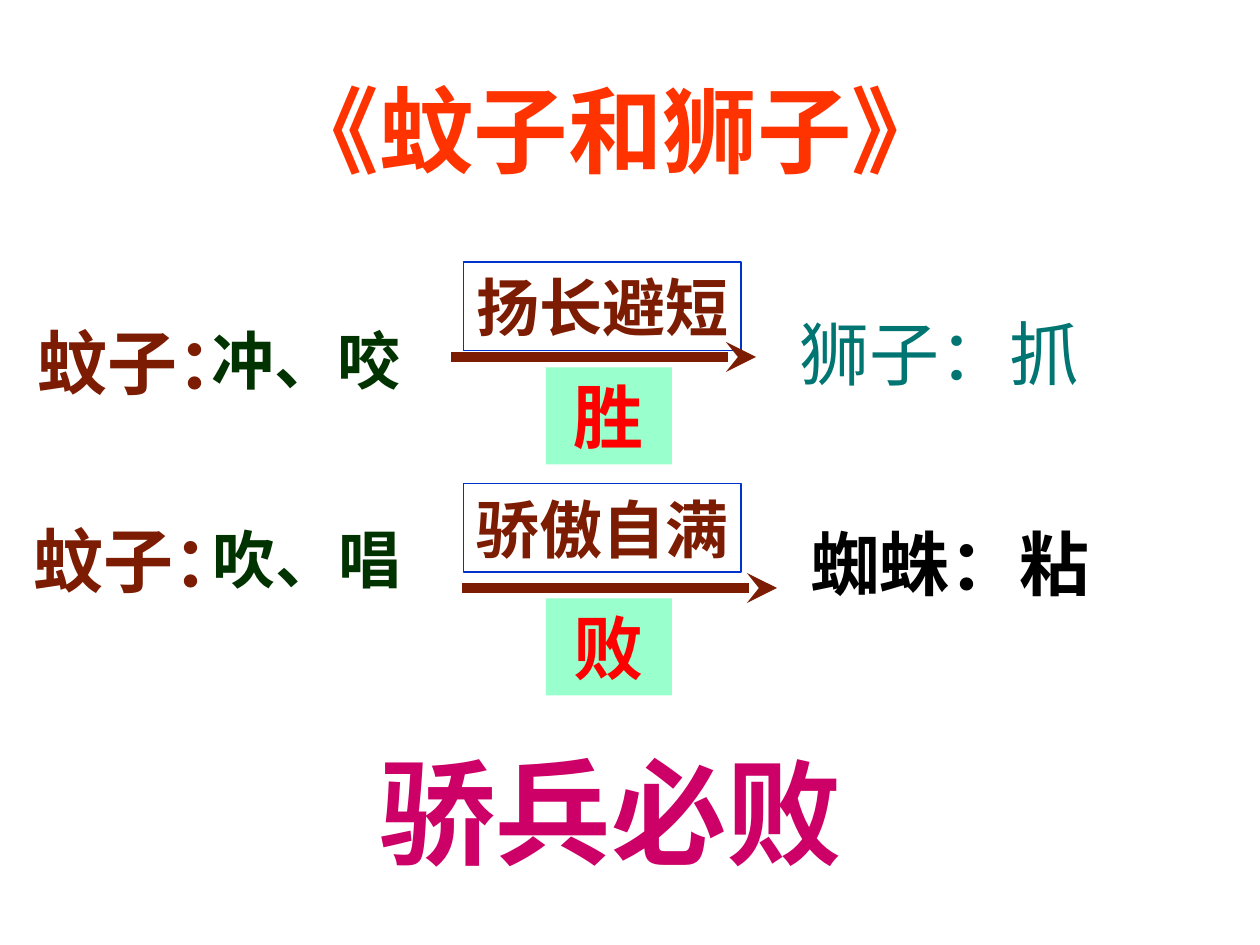
from pptx import Presentation
from pptx.dml.color import RGBColor
from pptx.enum.lang import MSO_LANGUAGE_ID
from pptx.enum.shapes import MSO_CONNECTOR, MSO_SHAPE
from pptx.enum.text import MSO_ANCHOR, MSO_AUTO_SIZE, PP_ALIGN
from pptx.oxml.ns import qn
from pptx.util import Pt
from lxml import etree

CHINESE = MSO_LANGUAGE_ID.SIMPLIFIED_CHINESE
RECTANGLE = MSO_SHAPE.RECTANGLE
STRAIGHT = MSO_CONNECTOR.STRAIGHT
TOP = MSO_ANCHOR.TOP
FIT = MSO_AUTO_SIZE.SHAPE_TO_FIT_TEXT
LEFT, CENTER = PP_ALIGN.LEFT, PP_ALIGN.CENTER

FONT = "Times New Roman"
ORANGE = RGBColor(0xFF, 0x33, 0x00)
BROWN = RGBColor(0x7C, 0x1C, 0x02)
GREEN = RGBColor(0x00, 0x33, 0x00)
TEAL = RGBColor(0x00, 0x75, 0x72)
BLACK = RGBColor(0x00, 0x00, 0x00)
RED = RGBColor(0xFF, 0x00, 0x00)
MAGENTA = RGBColor(0xCC, 0x00, 0x66)
BLUE = RGBColor(0x00, 0x33, 0xCC)
MINT = RGBColor(0x99, 0xFF, 0xCC)

presentation = Presentation()
presentation.slide_width, presentation.slide_height = Pt(720), Pt(540)
slide = presentation.slides.add_slide(presentation.slide_layouts[6])


def write(shape, text, size, color, bold=True, align=LEFT, wrap=True):
    frame = shape.text_frame
    frame.word_wrap = wrap
    frame.auto_size = FIT
    frame.vertical_anchor = TOP
    paragraph = frame.paragraphs[0]
    paragraph.alignment = align
    run = paragraph.add_run()
    run.text = text
    run.font.name = FONT
    run.font.size = Pt(size)
    run.font.bold = bold
    run.font.color.rgb = color
    run.font.language_id = CHINESE


def add_rectangle(left, top, width, height):
    shape = slide.shapes.add_shape(RECTANGLE, Pt(left), Pt(top), Pt(width), Pt(height))
    shape.shadow.inherit = False
    return shape


# Title, subjects, actions, opponents and moral
labels = [
    ("《蚊子和狮子》", 155.5, 37.5, 466.5, 72, 54, ORANGE, True),
    ("蚊子：", 14.4, 179.3, 175.7, 55.4, 40, BROWN, True),
    ("冲、咬", 113.8, 180, 190, 50.4, 36, GREEN, True),
    ("狮子：抓", 450, 174.2, 246.2, 55.4, 40, TEAL, False),
    ("蚊子：", 12.2, 292.3, 215.3, 55.4, 40, BROWN, True),
    ("吹、唱", 114.5, 293.8, 190, 50.4, 36, GREEN, True),
    ("蜘蛛：粘", 455.8, 293.8, 221.8, 55.4, 40, BLACK, True),
    ("骄兵必败", 210.2, 419.8, 354.2, 86.4, 66, MAGENTA, True),
]
for text, left, top, width, height, size, color, bold in labels:
    box = slide.shapes.add_textbox(Pt(left), Pt(top), Pt(width), Pt(height))
    write(box, text, size, color, bold)

# Reason above each arrow, result below it
contests = [
    ("扬长避短", 149.8, "胜", 210, 258, 432, 204),
    ("骄傲自满", 276.5, "败", 342, 264, 444, 336),
]
for reason, reason_top, result, result_top, start, end, arrow_y in contests:
    reason_box = add_rectangle(265, reason_top, 158.4, 50.4)
    reason_box.fill.background()
    reason_box.line.color.rgb = BLUE
    reason_box.line.width = Pt(0.75)
    write(reason_box, reason, 36, BROWN, wrap=False)

    result_box = add_rectangle(312, result_top, 72, 55.4)
    result_box.fill.solid()
    result_box.fill.fore_color.rgb = MINT
    result_box.line.fill.background()
    write(result_box, result, 40, RED, align=CENTER)

    arrow = slide.shapes.add_connector(STRAIGHT, Pt(start), Pt(arrow_y), Pt(end), Pt(arrow_y))
    arrow.line.color.rgb = BROWN
    arrow.line.width = Pt(5.75)
    etree.SubElement(arrow.line._get_or_add_ln(), qn("a:tailEnd"), type="stealth")
    etree.SubElement(arrow._element.spPr, qn("a:effectLst"))

presentation.save("out.pptx")
